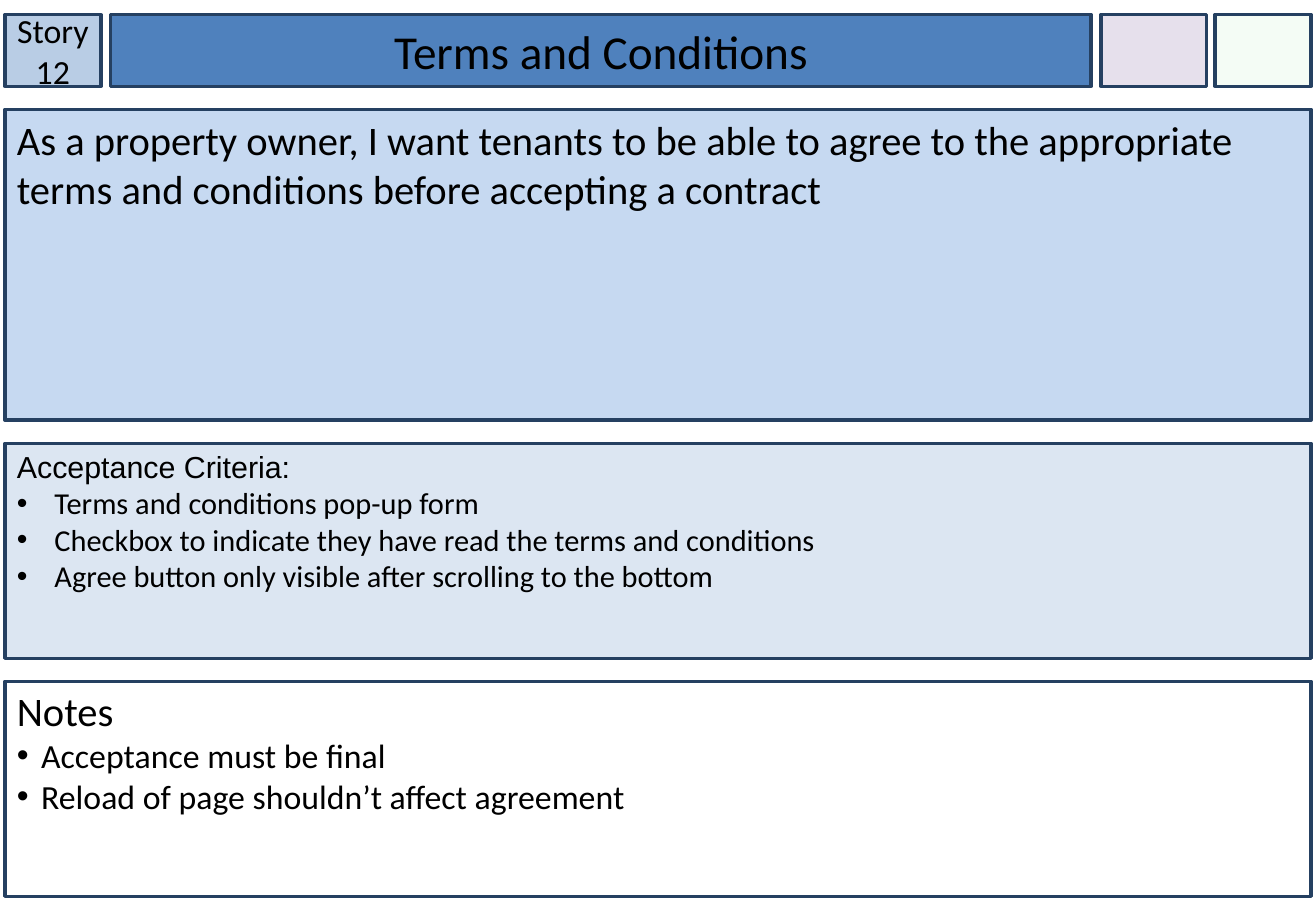
from dataclasses import dataclass

from lxml import etree
from pptx import Presentation
from pptx import util as u
from pptx.dml.color import RGBColor
from pptx.enum import shapes, text
from pptx.oxml import ns

PX = u.Inches(1) // 100


@dataclass(frozen=True)
class Theme:
    ink: str = "000000"
    outline: str = "254061"
    number: str = "B9CDE5"
    title: str = "4F81BD"
    story: str = "C6D9F1"
    criteria: str = "DCE6F2"
    notes: str = "FFFFFF"
    estimate: str = "E6E0EC"
    priority: str = "CCF0CD"
    font: str = "Calibri"
    heading_font: str = "Arial"
    title_size: int = 28
    large_size: int = 24
    medium_size: int = 20
    small_size: int = 18
    outline_width: int = 2


THEME = Theme()
LEFT, FULL_WIDTH = 4, 1075
HEADER_TOP, HEADER_HEIGHT = 12, 59
LIST_HEIGHT = 177
LIST_INSETS = (10, 4, 10, 5)


def style_box(box, left, top, width, height, fill, alpha=None):
    box.left, box.top, box.width, box.height = (
        value * PX for value in (left, top, width, height)
    )
    box.shadow.inherit = False
    box.fill.solid()
    box.fill.fore_color.rgb = RGBColor.from_string(fill)
    if alpha is not None:
        color = box.fill._xPr.find(".//" + ns.qn("a:srgbClr"))
        etree.SubElement(color, ns.qn("a:alpha"), val=str(alpha * 1000))
    box.line.color.rgb = RGBColor.from_string(THEME.outline)
    box.line.width = u.Pt(THEME.outline_width)
    return box


def add_box(page, left, top, width, height, fill, alpha=None):
    box = page.shapes.add_shape(shapes.MSO_SHAPE.RECTANGLE, 0, 0, PX, PX)
    return style_box(box, left, top, width, height, fill, alpha)


def set_frame(box, anchor=text.MSO_ANCHOR.TOP, insets=(10, 5, 10, 5)):
    frame = box.text_frame
    frame.word_wrap = True
    frame.auto_size = text.MSO_AUTO_SIZE.NONE
    frame.vertical_anchor = anchor
    frame.margin_left, frame.margin_top, frame.margin_right, frame.margin_bottom = (
        value * PX for value in insets
    )


def add_bullet(para, indent):
    properties = para._p.get_or_add_pPr()
    properties.set("marL", str(indent * PX))
    properties.set("indent", str(-indent * PX))
    etree.SubElement(properties, ns.qn("a:buFont"), typeface="Arial")
    etree.SubElement(properties, ns.qn("a:buChar"), char="•")


def write(box, words, size, font=THEME.font, align=text.PP_ALIGN.LEFT, indent=0):
    frame = box.text_frame
    para = frame.add_paragraph() if frame.text else frame.paragraphs[0]
    para.alignment = align
    if indent:
        add_bullet(para, indent)
    span = para.add_run()
    span.text = words
    span.font.name = font
    span.font.size = u.Pt(size)
    span.font.color.rgb = RGBColor.from_string(THEME.ink)


def write_list(box, heading, items, heading_size, item_size, indent, heading_font=THEME.font):
    set_frame(box, insets=LIST_INSETS)
    write(box, heading, heading_size, font=heading_font)
    for item in items:
        write(box, item, item_size, indent=indent)


def add_header(page):
    center, middle = text.PP_ALIGN.CENTER, text.MSO_ANCHOR.MIDDLE
    number = add_box(page, LEFT, HEADER_TOP, 79, HEADER_HEIGHT, THEME.number)
    set_frame(number, middle, (0, 5, 0, 5))
    write(number, "Story 12", THEME.medium_size, align=center)

    title = style_box(page.shapes.title, 91, HEADER_TOP, 807, HEADER_HEIGHT, THEME.title)
    set_frame(title, middle)
    write(title, "Terms and Conditions", THEME.title_size, align=center)

    add_box(page, 906, HEADER_TOP, 87, HEADER_HEIGHT, THEME.estimate)
    add_box(page, 1000, HEADER_TOP, 79, HEADER_HEIGHT, THEME.priority, alpha=20)


def add_body(page):
    story = add_box(page, LEFT, 90, FULL_WIDTH, 256, THEME.story)
    set_frame(story)
    write(
        story,
        "As a property owner, I want tenants to be able to agree to the appropriate "
        "terms and conditions before accepting a contract",
        THEME.large_size,
    )

    criteria = add_box(page, LEFT, 365, FULL_WIDTH, LIST_HEIGHT, THEME.criteria)
    write_list(
        criteria,
        "Acceptance Criteria:",
        (
            "Terms and conditions pop-up form",
            "Checkbox to indicate they have read the terms and conditions",
            "Agree button only visible after scrolling to the bottom",
        ),
        THEME.small_size,
        THEME.small_size,
        indent=31,
        heading_font=THEME.heading_font,
    )

    notes = add_box(page, LEFT, 561, FULL_WIDTH, LIST_HEIGHT, THEME.notes)
    write_list(
        notes,
        "Notes",
        ("Acceptance must be final", "Reload of page shouldn’t affect agreement"),
        THEME.large_size,
        THEME.medium_size,
        indent=20,
    )


def main():
    deck = Presentation()
    deck.slide_width, deck.slide_height = 1083 * PX, 750 * PX
    page = deck.slides.add_slide(deck.slide_layouts.get_by_name("Title Only"))
    add_header(page)
    add_body(page)
    deck.save("out.pptx")


if __name__ == "__main__":
    main()
